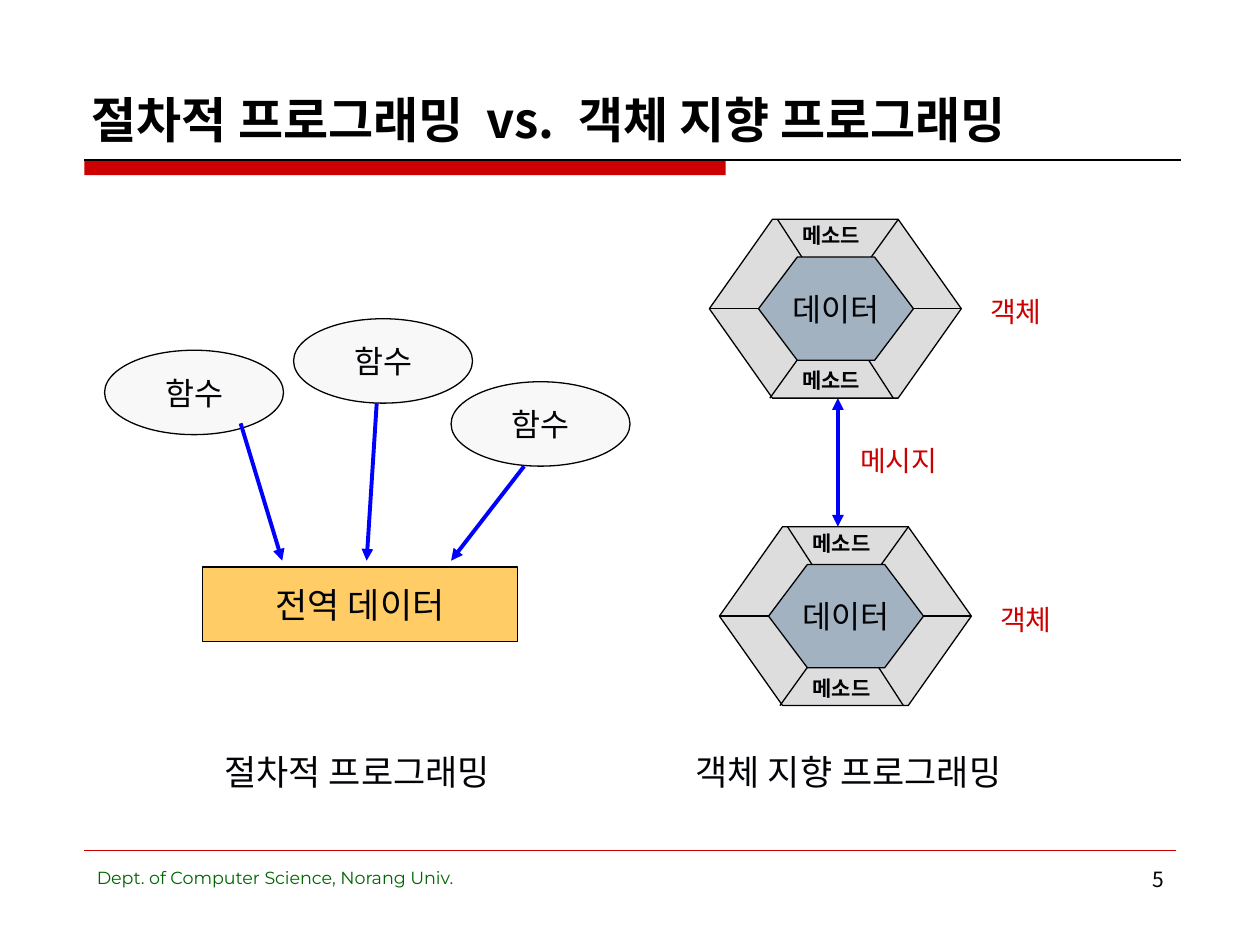
from lxml import etree
from pptx import Presentation
from pptx.dml.color import RGBColor
from pptx.enum.shapes import MSO_CONNECTOR, MSO_SHAPE
from pptx.enum.text import MSO_ANCHOR, PP_ALIGN
from pptx.oxml.ns import qn
from pptx.util import Inches, Pt

RECT, ELLIPSE, HEXAGON = MSO_SHAPE.RECTANGLE, MSO_SHAPE.OVAL, MSO_SHAPE.HEXAGON
STRAIGHT = MSO_CONNECTOR.STRAIGHT
LEFT, CENTER, RIGHT = PP_ALIGN.LEFT, PP_ALIGN.CENTER, PP_ALIGN.RIGHT
TOP, MIDDLE, BOTTOM = MSO_ANCHOR.TOP, MSO_ANCHOR.MIDDLE, MSO_ANCHOR.BOTTOM


class Theme:
    RED, BLUE, GREEN = "CC0000", "0000FF", "006600"
    BLACK, INK = "000000", "020306"
    FUNCTION, GLOBAL, METHOD, DATA = "F8F8F8", "FFCC66", "DDDDDD", "A3B2C1"
    BODY, KOREAN, FOOTER = "Lato", "Noto Sans CJK KR", "Montserrat"
    TITLE_SIZE, CAPTION_SIZE, NODE_SIZE, LABEL_SIZE, SMALL, TINY = 28, 20, 18, 16, 12, 10


prs = Presentation()
prs.slide_width, prs.slide_height = Inches(10), Inches(7.5)
s = prs.slides.add_slide(prs.slide_layouts[5])


def write(sp, text, size=Theme.NODE_SIZE, color=Theme.INK, font=Theme.BODY,
          bold=False, align=LEFT, anchor=TOP, wrap=True, spacing=0):
    """Append a formatted run to the first paragraph; spacing is in points."""
    tf = sp.text_frame
    tf.word_wrap, tf.vertical_anchor = wrap, anchor
    p = tf.paragraphs[0]
    p.alignment = align
    r = p.add_run()
    r.text = text
    r.font.size, r.font.bold, r.font.name = Pt(size), bold, font
    r.font.color.rgb = RGBColor.from_string(color)
    rPr = r._r.get_or_add_rPr()
    etree.SubElement(rPr, qn("a:ea"), typeface=Theme.KOREAN)
    if spacing:
        rPr.set("spc", str(spacing * 100))


def draw(kind, box, fill=None, width=0.75, color=Theme.BLACK, ends=()):
    """Draw a preset shape in (left, top, width, height), or a line in (x1, y1, x2, y2)."""
    lengths = [Inches(v) for v in box]
    if kind is STRAIGHT:
        sp = s.shapes.add_connector(kind, *lengths)
    else:
        sp = s.shapes.add_shape(kind, *lengths)
        sp.shadow.inherit = False
        sp.fill.solid()
        sp.fill.fore_color.rgb = RGBColor.from_string(fill)
    sp.line.width = Pt(width)
    sp.line.color.rgb = RGBColor.from_string(color)
    if kind is STRAIGHT:
        spPr = sp._element.spPr
        for end in ends:
            etree.SubElement(spPr.find(qn("a:ln")), qn(f"a:{end}"), type="triangle")
        etree.SubElement(spPr, qn("a:effectLst"))
    return sp


# Title, rules and footer
bar = draw(RECT, (0.67, 1.27, 5.09, 0.12), Theme.RED)
bar.line.fill.background()
draw(STRAIGHT, (0.67, 1.27, 9.37, 1.27))
draw(STRAIGHT, (0.67, 6.75, 9.33, 6.75), width=0.25, color=Theme.RED)

title = s.shapes.title
title.left, title.top, title.width, title.height = map(Inches, (0.63, 0.33, 8.75, 0.9))
for part, spacing in (("절차적 프로그래밍", 0), (" ", 7), ("vs.", 0), (" ", 7),
                      ("객체 지향 프로그래밍", 0)):
    write(title, part, size=Theme.TITLE_SIZE, color=Theme.BLACK, font=Theme.KOREAN,
          bold=True, anchor=BOTTOM, spacing=spacing)

# Procedural side: functions pointing at global data
store = draw(RECT, (1.61, 4.5, 2.5, 0.59), Theme.GLOBAL)
write(store, "전역 데이터", size=Theme.CAPTION_SIZE, align=CENTER, anchor=MIDDLE, wrap=False)
for left, top, arrow in ((0.83, 2.78, (1.91, 3.36, 2.24, 4.45)),
                         (2.33, 2.53, (2.99, 3.2, 2.91, 4.45)),
                         (3.58, 3.03, (4.16, 3.7, 3.58, 4.45))):
    function = draw(ELLIPSE, (left, top, 1.42, 0.67), Theme.FUNCTION)
    write(function, "함수", align=CENTER, anchor=MIDDLE, wrap=False)
    draw(STRAIGHT, arrow, width=2.25, color=Theme.BLUE, ends=("tailEnd",))

# Object-oriented side: data wrapped in methods
labels = []
for x, y in ((5.63, 1.74), (5.71, 4.18)):
    shell = draw(HEXAGON, (x, y, 2, 1.42), Theme.METHOD)
    shell.adjustments[0] = 0.353
    draw(STRAIGHT, (x + 0.54, y, x + 1.46, y + 1.42))
    draw(STRAIGHT, (x + 0.48, y + 1.42, x + 1.5, y))
    draw(STRAIGHT, (x + 2, y + 0.71, x, y + 0.71))
    core = draw(HEXAGON, (x + 0.39, y + 0.3, 1.23, 0.82), Theme.DATA)
    core.adjustments[0] = 0.376
    write(core, "데이터", align=CENTER, anchor=MIDDLE, wrap=False)
    for dy in (-0.02, 1.13):
        labels.append(("메소드", (x + 0.64, y + dy, 0.7, 0.3),
                       dict(size=Theme.SMALL, bold=True, wrap=False)))
    labels.append(("객체", (x + 2.13, y + 0.55, 1.34, 0.37),
                   dict(size=Theme.LABEL_SIZE, color=Theme.RED)))
draw(STRAIGHT, (6.65, 3.16, 6.65, 4.18), width=2.25, color=Theme.BLUE,
     ends=("headEnd", "tailEnd"))

# Free-standing text
caption = dict(size=Theme.CAPTION_SIZE, align=CENTER)
labels += [
    ("메시지", (6.73, 3.47, 1.42, 0.37), dict(size=Theme.LABEL_SIZE, color=Theme.RED)),
    ("절차적 프로그래밍", (1.14, 5.91, 3.39, 0.43), caption),
    ("객체 지향 프로그래밍", (4.69, 5.91, 4.09, 0.43), caption),
    ("Dept. of Computer Science, Norang Univ.", (0.67, 6.83, 4.02, 0.52),
     dict(size=Theme.TINY, color=Theme.GREEN, font=Theme.FOOTER)),
    ("5", (7.17, 6.83, 2.17, 0.52),
     dict(size=Theme.SMALL, color=Theme.BLACK, font=Theme.KOREAN, align=RIGHT)),
]
for text, box, style in labels:
    write(s.shapes.add_textbox(*map(Inches, box)), text, **style)

prs.save("out.pptx")
